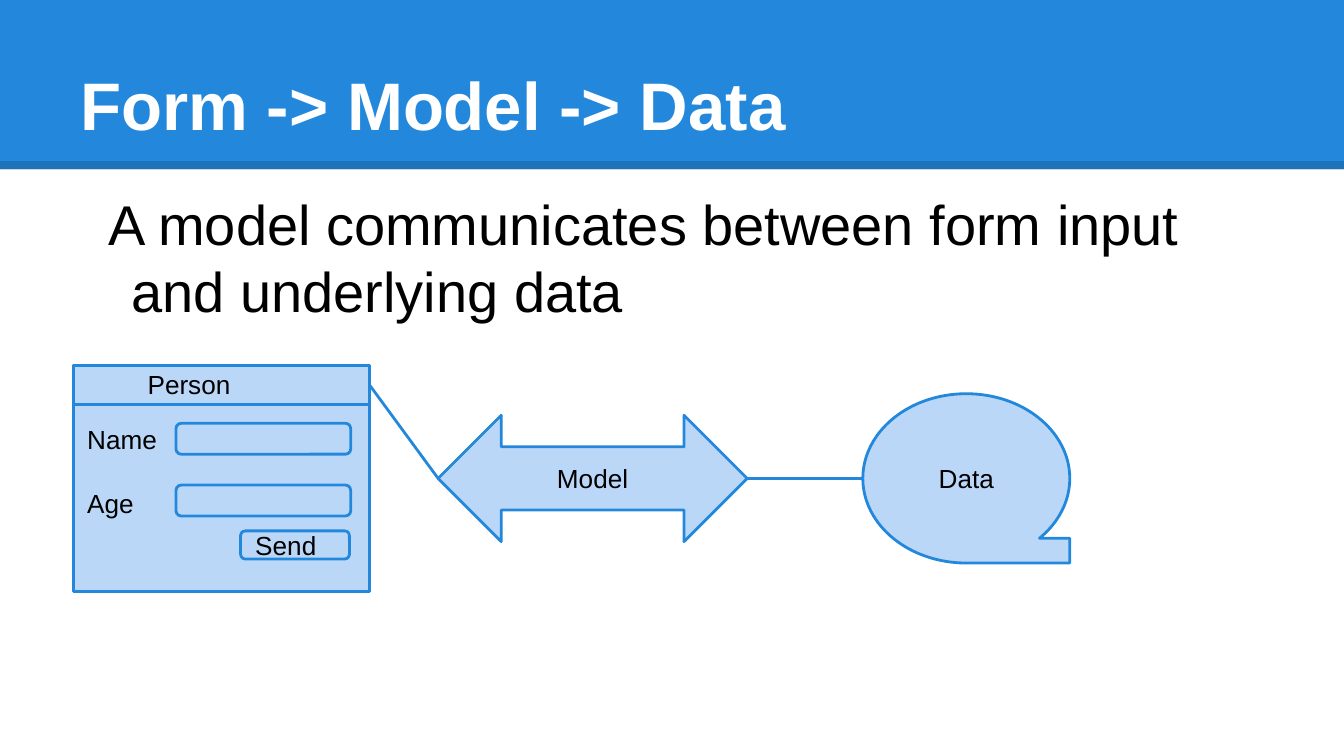
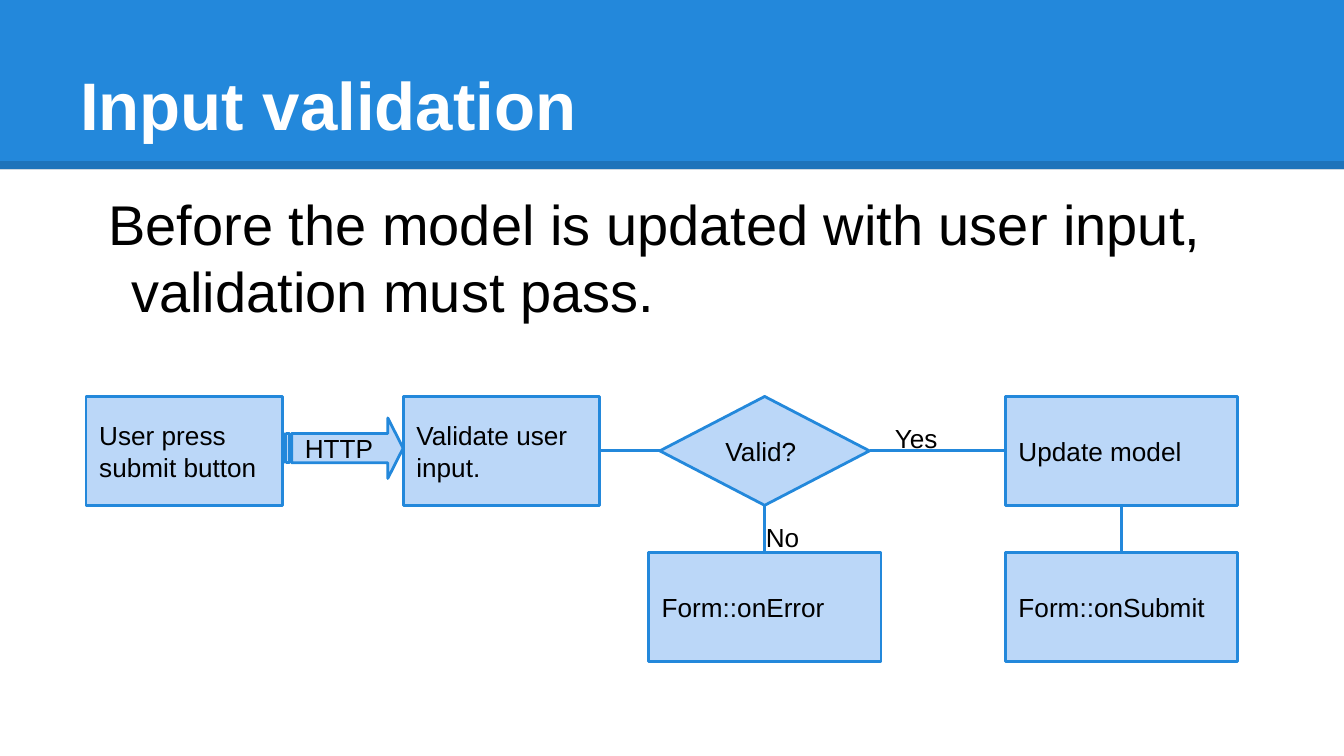
from dataclasses import dataclass

from lxml import etree
from pptx import Presentation
from pptx.dml.color import RGBColor
from pptx.enum import shapes, text
from pptx.oxml import ns
from pptx.util import Inches, Pt

KIND = shapes.MSO_SHAPE
LEFT, CENTER = text.PP_ALIGN.LEFT, text.PP_ALIGN.CENTER
TOP, MIDDLE, BOTTOM = (text.MSO_ANCHOR.TOP, text.MSO_ANCHOR.MIDDLE,
                       text.MSO_ANCHOR.BOTTOM)


@dataclass(frozen=True)
class Theme:
    font: str = "Arial"
    blue: str = "2388DB"
    pale: str = "BBD7F8"
    white: str = "FFFFFF"
    black: str = "000000"
    title: int = 36
    lead: int = 30
    label: int = 14
    line: float = 1.5
    edge: float = 4.5
    shade: int = 15
    inset: float = 0.1


THEME = Theme()


def rgb(code):
    return RGBColor.from_string(code)


def write(shape, words, size=THEME.label, color=THEME.black, bold=False,
          align=LEFT, anchor=TOP, before=0, margin=0, indent=0):
    frame = shape.text_frame
    frame.word_wrap = True
    frame.vertical_anchor = anchor
    frame.margin_left = frame.margin_right = Inches(THEME.inset)
    frame.margin_top = frame.margin_bottom = Inches(THEME.inset)
    para = frame.paragraphs[0]
    para.alignment = align
    para.space_before = Pt(before)
    if margin:
        props = para._p.get_or_add_pPr()
        props.set("marL", str(Inches(margin)))
        props.set("indent", str(Inches(indent)))
    run = para.add_run()
    run.text = words
    run.font.name = THEME.font
    run.font.size = Pt(size)
    run.font.bold = bold
    run.font.color.rgb = rgb(color)


def label(slide, box, words, **style):
    write(slide.shapes.add_textbox(*map(Inches, box)), words, **style)


def node(slide, kind, box, words="", adjust=(), outline=True, fill=THEME.pale,
         **style):
    shape = slide.shapes.add_shape(kind, *map(Inches, box))
    shape.shadow.inherit = False
    shape.fill.solid()
    shape.fill.fore_color.rgb = rgb(fill)
    if outline:
        shape.line.color.rgb = rgb(THEME.blue)
        shape.line.width = Pt(THEME.line)
    else:
        shape.line.fill.background()
    for i, value in enumerate(adjust):
        shape.adjustments[i] = value
    if words:
        write(shape, words, anchor=MIDDLE, **style)
    return shape


def side(shape, name):
    """Give the middle of one side of a shape."""
    across, down = {"left": (0, 0.5), "right": (1, 0.5),
                    "top": (0.5, 0), "bottom": (0.5, 1)}[name]
    return (shape.left + int(shape.width * across),
            shape.top + int(shape.height * down))


def link(slide, start, end, color=THEME.blue, width=THEME.line, opacity=100):
    line = slide.shapes.add_connector(shapes.MSO_CONNECTOR.STRAIGHT,
                                      *start, *end)
    line.line.color.rgb = rgb(color)
    line.line.width = Pt(width)
    props = line._element.spPr
    if opacity < 100:
        tint = props.find(".//" + ns.qn("a:srgbClr"))
        etree.SubElement(tint, ns.qn("a:alpha"), val=str(opacity * 1000))
    etree.SubElement(props, ns.qn("a:effectLst"))


def header(slide, box, title):
    x, y, w, h = box
    node(slide, KIND.RECTANGLE, box, outline=False, fill=THEME.blue)
    edge = Inches(y + h - 0.03)
    link(slide, (Inches(x), edge), (Inches(x + w), edge),
         color=THEME.black, width=THEME.edge, opacity=THEME.shade)
    label(slide, (x + 0.5, y + 0.23, w - 1, 0.94), title, size=THEME.title,
          color=THEME.white, bold=True, anchor=BOTTOM)


def page(deck, title, lead):
    """Add a slide with the shared band, title and lead sentence."""
    slide = deck.slides.add_slide(deck.slide_layouts[6])
    header(slide, (0, 0, 10, 1.26), title)
    label(slide, (0.5, 1.31, 9, 4.07), lead, size=THEME.lead,
          before=6, margin=0.38, indent=-0.17)
    return slide


def form(slide, box):
    """Draw the person form and return its heading bar."""
    x, y, w, h = box
    node(slide, KIND.RECTANGLE, box)
    fields = (("Name", 0.43, 0.33, 0.81), ("Age", 0.89, 0.81, 0.62))
    for name, field, caption, wide in fields:
        node(slide, KIND.FLOWCHART_ALTERNATE_PROCESS,
             (x + 0.76, y + field, 1.3, 0.23))
        label(slide, (x, y + caption, wide, 0.21), name)
    node(slide, KIND.ROUNDED_RECTANGLE, (x + 1.24, y + 1.23, 0.81, 0.21),
         "Send", adjust=(0.167,))
    bar = node(slide, KIND.RECTANGLE, (x, y, w, 0.29))
    label(slide, (x + 0.45, y - 0.08, 1.3, 0.21), "Person")
    return bar


def chain(slide, box):
    """Join the form to the model and the model to the data."""
    x, y, w, h = box
    mid = y + h / 2
    bar = form(slide, (x, y, 2.2, h))
    model = node(slide, KIND.LEFT_RIGHT_ARROW,
                 (x + 2.71, mid - 0.47, 2.3, 0.94), "Model",
                 adjust=(0.5, 0.5), align=CENTER)
    data = node(slide, KIND.FLOWCHART_SEQUENTIAL_ACCESS_STORAGE,
                (x + w - 1.54, mid - 0.63, 1.54, 1.26), "Data", align=CENTER)
    link(slide, side(bar, "right"), side(model, "left"))
    link(slide, side(model, "right"), side(data, "left"))


def flow(slide, box):
    """Draw the validation steps in two rows."""
    x, y, w, h = box
    tall, wide = 0.81, 1.73
    low = y + h - tall
    last = x + w - wide
    step = KIND.FLOWCHART_PROCESS

    node(slide, step, (x, y, 1.46, tall), "User press submit button")
    check = node(slide, step, (x + 2.36, y, 1.46, tall),
                 "Validate user input.")
    node(slide, KIND.STRIPED_RIGHT_ARROW, (x + 1.46, y + 0.16, 0.9, 0.45),
         "HTTP", adjust=(0.484, 0.253))
    valid = node(slide, KIND.FLOWCHART_DECISION, (x + 4.27, y, 1.56, tall),
                 "Valid?")
    update = node(slide, step, (last, y, wide, tall), "Update model")
    error = node(slide, step, (x + 4.27 + (1.56 - wide) / 2, low, wide, tall),
                 "Form::onError")
    submit = node(slide, step, (last, low, wide, tall), "Form::onSubmit")

    for start, end in ((check, valid), (valid, update)):
        link(slide, side(start, "right"), side(end, "left"))
    for start, end in ((valid, error), (update, submit)):
        link(slide, side(start, "bottom"), side(end, "top"))
    label(slide, (x + 4.96, y + 0.83, 0.64, 0.31), "No")
    label(slide, (x + 5.92, y + 0.09, 0.76, 0.31), "Yes")


def main():
    deck = Presentation()
    deck.slide_width = Inches(10)
    deck.slide_height = deck.slide_width * 9 // 16
    slide = page(deck, "Form -> Model -> Data",
                 "A model communicates between form input and underlying data")
    chain(slide, (0.55, 2.72, 7.41, 1.68))
    slide = page(deck, "Input validation",
                 "Before the model is updated with user input, "
                 "validation must pass.")
    flow(slide, (0.64, 2.95, 8.57, 1.97))
    deck.save("out.pptx")


if __name__ == "__main__":
    main()
